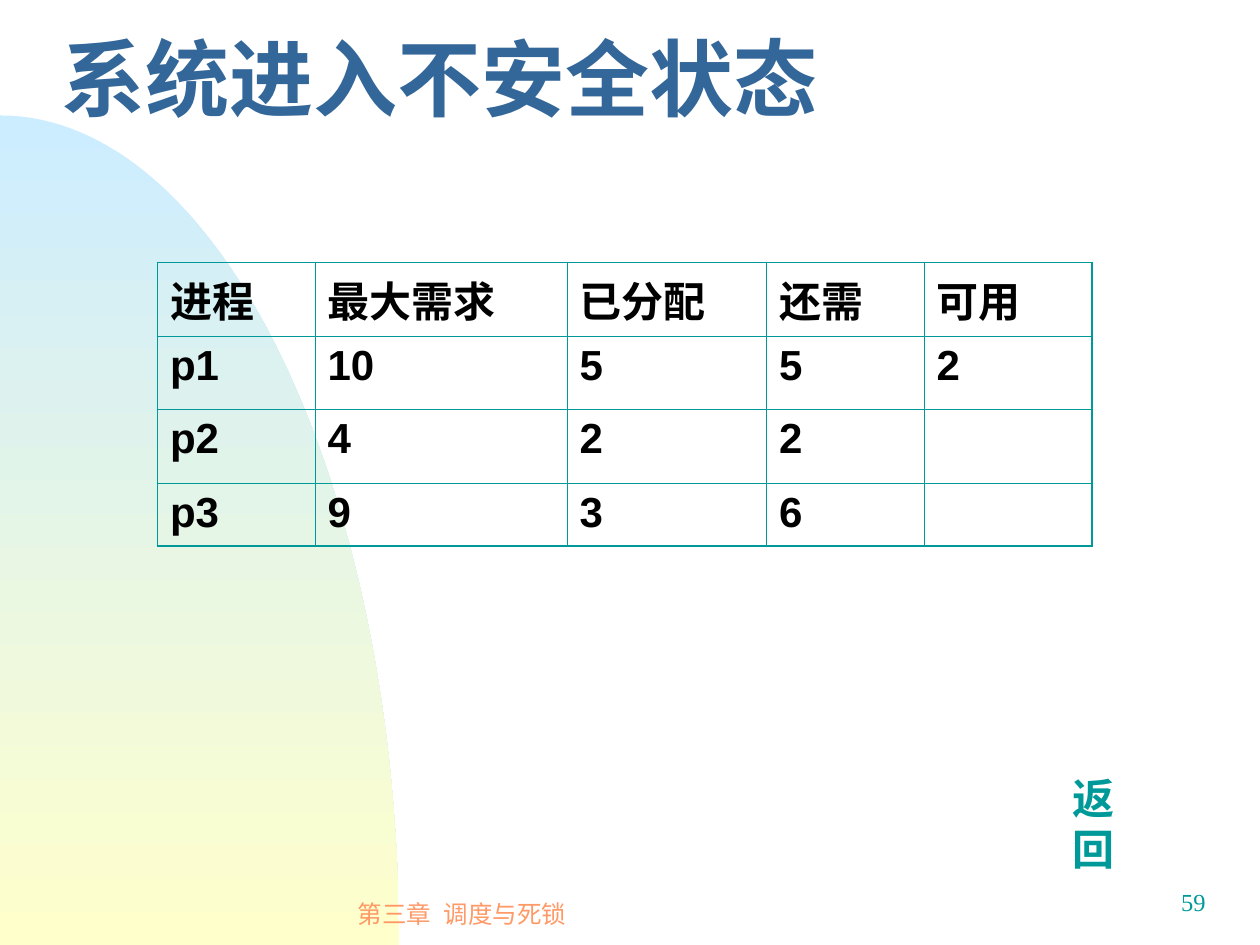
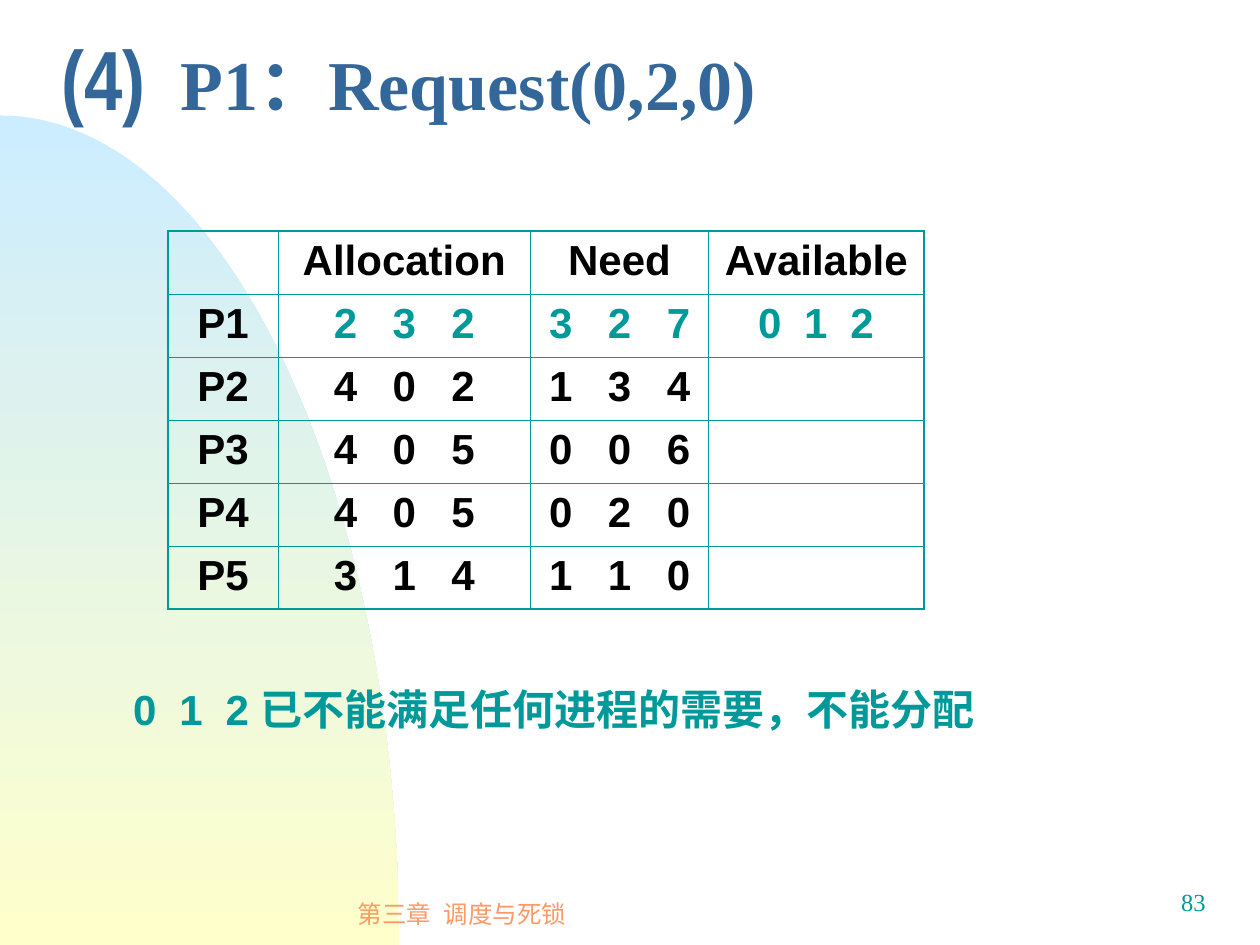
"""Build two slides on safe states and resource requests in process scheduling."""
from dataclasses import dataclass
from typing import NamedTuple

from lxml.etree import SubElement
from pptx import Presentation
from pptx.dml.color import RGBColor
from pptx.enum.text import MSO_ANCHOR, PP_ALIGN
from pptx.oxml import parse_xml
from pptx.oxml.ns import nsdecls, qn
from pptx.slide import Slide
from pptx.table import _Cell
from pptx.text.text import _Paragraph
from pptx.util import Emu, Pt

PX = 7620
SLIDE_W, SLIDE_H = 1200, 900


@dataclass(frozen=True)
class Theme:
    teal: str = "009999"
    navy: str = "336699"
    orange: str = "FF9966"
    black: str = "000000"
    sky: str = "CCECFF"
    cream: str = "FFFFCC"
    sans: str = "Arial"
    narrow: str = "Arial Narrow"
    serif: str = "Times New Roman"
    cjk: str = "Noto Sans CJK SC"
    title_size: int = 48
    formula_size: int = 40
    body_size: int = 24
    footer_size: int = 14
    outer_line: float = 1.08
    inner_line: float = 0.45


T = Theme()


class Box(NamedTuple):
    x: int
    y: int
    w: int
    h: int

    def emu(self) -> list[Emu]:
        return [Emu(v * PX) for v in self]


class Span(NamedTuple):
    text: str
    font: str = T.sans
    size: int = T.body_size
    color: str = T.teal
    bold: bool = True
    spacing: float = 0


class Vector(NamedTuple):
    values: tuple[int, int, int]
    pitch: int = 56
    color: str = T.black


class Grid(NamedTuple):
    x: int
    y: int
    cols: list[int]
    rows: list[int]
    cells: list[list[str | Vector]]
    align: PP_ALIGN


TITLE = Box(47, 20, 1133, 130)
FOOTER = Box(250, 840, 380, 60)
NUMBER = Box(910, 839, 250, 60)
RETURN_LABEL = Box(1010, 730, 70, 108)
CONCLUSION = Box(115, 645, 840, 60)
ARC = ((0, 110), (210, 110), (380, 464), (380, 900))
DIGIT_W = 22
TIGHT_PITCH = 44


def add_tabs(p: _Paragraph, pitch: int) -> None:
    tabs = SubElement(p._p.get_or_add_pPr(), qn("a:tabLst"))
    for i in (1, 2):
        SubElement(tabs, qn("a:tab"), pos=str(i * pitch * PX), algn="l")


def write(p: _Paragraph, *spans: Span) -> None:
    for span in spans:
        r = p.add_run()
        r.text = span.text
        f = r.font
        f.name, f.size, f.bold = span.font, Pt(span.size), span.bold
        f.color.rgb = RGBColor.from_string(span.color)
        SubElement(r._r.rPr, qn("a:ea"), typeface=T.cjk)
        if span.spacing:
            r._r.rPr.set("spc", str(round(span.spacing * 100)))


def add_text(s: Slide, box: Box, *spans: Span, align: PP_ALIGN = PP_ALIGN.LEFT,
             anchor: MSO_ANCHOR = MSO_ANCHOR.TOP, line: float = 1.0, pitch: int = 0) -> None:
    tf = s.shapes.add_textbox(*box.emu()).text_frame
    tf.word_wrap = True
    tf.vertical_anchor = anchor
    p = tf.paragraphs[0]
    p.alignment, p.line_spacing = align, line
    if pitch:
        add_tabs(p, pitch)
    write(p, *spans)


def add_arc(s: Slide) -> None:
    steps = 64
    points = []
    for i in range(steps + 1):
        t = i / steps
        weights = ((1 - t) ** 3, 3 * t * (1 - t) ** 2, 3 * t * t * (1 - t), t ** 3)
        points.append(tuple(PX * sum(w * pt[axis] for w, pt in zip(weights, ARC))
                            for axis in (0, 1)))
    builder = s.shapes.build_freeform(*points[0])
    builder.add_line_segments(points[1:] + [(0, SLIDE_H * PX)], close=True)
    sp = builder.convert_to_shape()
    sp.shadow.inherit = False
    sp.line.fill.background()
    sp.fill.gradient()
    sp.fill.gradient_angle = 270
    for stop, color in zip(sp.fill.gradient_stops, (T.sky, T.cream)):
        stop.color.rgb = RGBColor.from_string(color)


def set_borders(cell: _Cell, outer: dict[str, bool]) -> None:
    tc_pr = cell._tc.get_or_add_tcPr()
    for i, (side, is_outer) in enumerate(outer.items()):
        width = Pt(T.outer_line if is_outer else T.inner_line)
        tc_pr.insert(i, parse_xml(
            f'<a:ln{side} {nsdecls("a")} w="{width}"><a:solidFill>'
            f'<a:srgbClr val="{T.teal}"/></a:solidFill></a:ln{side}>'))


def fill_cell(cell: _Cell, content: str | Vector, col_w: int, align: PP_ALIGN) -> None:
    p = cell.text_frame.paragraphs[0]
    if isinstance(content, Vector):
        cell.margin_left = Emu((col_w - 2 * content.pitch - DIGIT_W) // 2 * PX)
        cell.margin_right = 0
        add_tabs(p, content.pitch)
        write(p, Span("\t".join(map(str, content.values)), color=content.color))
    elif content:
        p.alignment = align
        write(p, Span(content, color=T.black))


def add_grid(s: Slide, grid: Grid) -> None:
    n_rows, n_cols = len(grid.rows), len(grid.cols)
    box = Box(grid.x, grid.y, sum(grid.cols), sum(grid.rows))
    table = s.shapes.add_table(n_rows, n_cols, *box.emu()).table
    table.first_row = table.horz_banding = False
    for column, w in zip(table.columns, grid.cols):
        column.width = Emu(w * PX)
    for row, h in zip(table.rows, grid.rows):
        row.height = Emu(h * PX)
    for i, contents in enumerate(grid.cells):
        for j, content in enumerate(contents):
            cell = table.cell(i, j)
            cell.fill.background()
            set_borders(cell, {"L": j == 0, "R": j == n_cols - 1,
                               "T": i == 0, "B": i == n_rows - 1})
            fill_cell(cell, content, grid.cols[j], grid.align)


def title_span(text: str, font: str, size: int = T.formula_size, spacing: float = 0) -> Span:
    return Span(text, font, size, T.navy, spacing=spacing)


def footer_span(text: str, spacing: float = 0) -> Span:
    return Span(text, T.sans, T.footer_size, T.orange, False, spacing)


def add_base(prs: Presentation, number: int, *title: Span) -> Slide:
    s = prs.slides.add_slide(prs.slide_layouts[6])
    add_arc(s)
    add_text(s, FOOTER, footer_span("第三章"), footer_span(" ", 3.9), footer_span("调度与死锁"),
             align=PP_ALIGN.CENTER, anchor=MSO_ANCHOR.MIDDLE)
    add_text(s, NUMBER, Span(str(number), T.serif, T.footer_size, bold=False),
             align=PP_ALIGN.RIGHT)
    add_text(s, TITLE, *title, anchor=MSO_ANCHOR.MIDDLE, line=0.7)
    return s


def add_unsafe_state(prs: Presentation) -> None:
    s = add_base(prs, 59, title_span("系统进入不安全状态", T.cjk, T.title_size))
    add_grid(s, Grid(150, 250, [150, 240, 190, 150, 160], [70, 70, 70, 60], [
        ["进程", "最大需求", "已分配", "还需", "可用"],
        ["p1", "10", "5", "5", "2"],
        ["p2", "4", "2", "2", ""],
        ["p3", "9", "3", "6", ""],
    ], PP_ALIGN.LEFT))
    add_text(s, RETURN_LABEL, Span("返回", T.serif))


def add_request(prs: Presentation) -> None:
    s = add_base(prs, 83, title_span("(4)", T.narrow, T.title_size),
                 title_span(" ", T.serif, spacing=10), title_span("P1", T.serif),
                 title_span("：", T.cjk), title_span("Request(0,2,0)", T.serif))
    rows = [
        ["P1", Vector((2, 3, 2), color=T.teal), Vector((3, 2, 7), color=T.teal),
         Vector((0, 1, 2), TIGHT_PITCH, T.teal)],
        ["P2", Vector((4, 0, 2)), Vector((1, 3, 4)), ""],
        ["P3", Vector((4, 0, 5)), Vector((0, 0, 6)), ""],
        ["P4", Vector((4, 0, 5)), Vector((0, 2, 0)), ""],
        ["P5", Vector((3, 1, 4)), Vector((1, 1, 0)), ""],
    ]
    add_grid(s, Grid(160, 220, [105, 240, 170, 205], [60] * 6,
                     [["", "Allocation", "Need", "Available"], *rows], PP_ALIGN.CENTER))
    add_text(s, CONCLUSION, Span("0\t1\t2 已不能满足任何进程的需要，不能分配"),
             pitch=TIGHT_PITCH)


def main() -> None:
    prs = Presentation()
    prs.slide_width, prs.slide_height = Emu(SLIDE_W * PX), Emu(SLIDE_H * PX)
    add_unsafe_state(prs)
    add_request(prs)
    prs.save("out.pptx")


if __name__ == "__main__":
    main()
